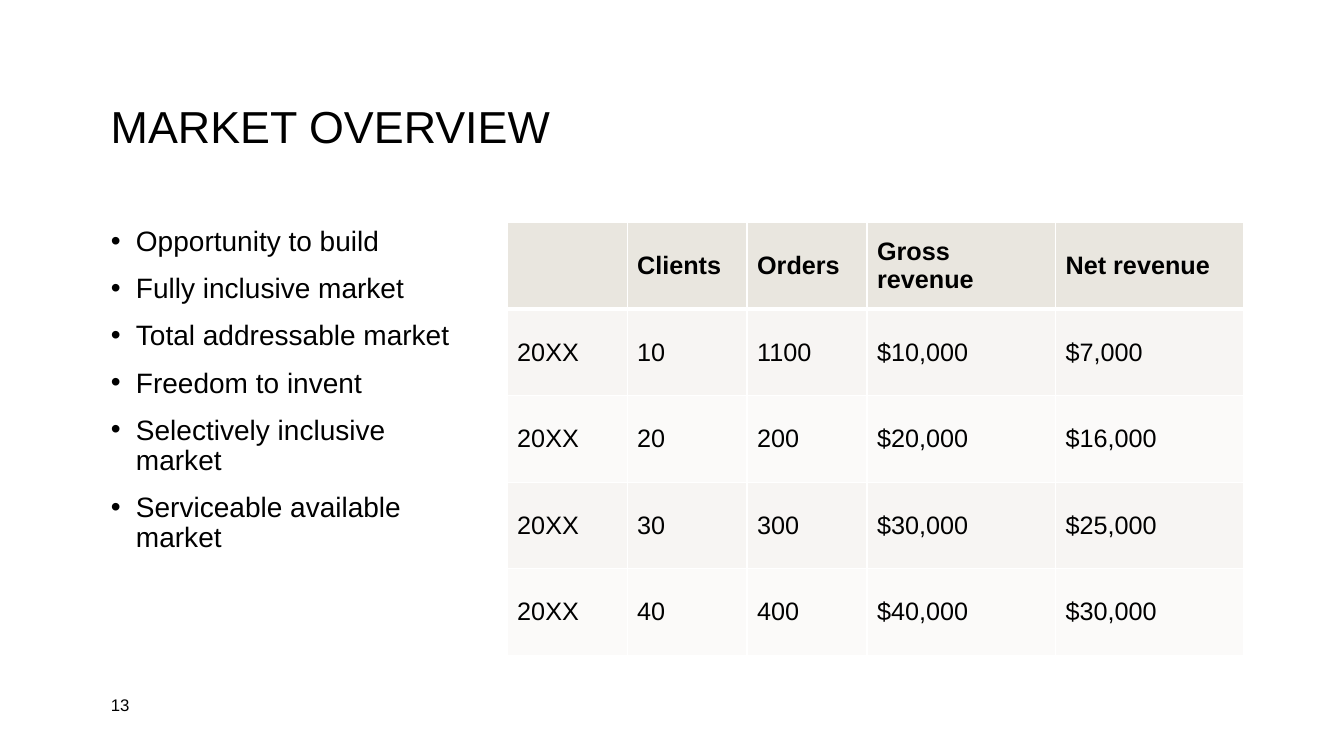
"""Build the market overview slide with bullet points and a revenue table."""
from lxml.etree import SubElement
from pptx import Presentation
from pptx.dml.color import RGBColor
from pptx.enum.text import MSO_ANCHOR
from pptx.oxml.ns import qn
from pptx.util import Inches, Pt

COLORS = {
    "text": "000000",
    "border": "FFFFFF",
    "header": "E9E6DF",
    "odd_row": "F7F5F3",
    "even_row": "FBFAF9",
}


def write_text(frame, text, size=18, bold=False, bullet=False, line_spacing=None,
               space_after=0, anchor=MSO_ANCHOR.MIDDLE):
    frame.word_wrap = True
    frame.vertical_anchor = anchor
    for index, line in enumerate(text.split("\n")):
        paragraph = frame.add_paragraph() if index else frame.paragraphs[0]
        paragraph.line_spacing = line_spacing
        paragraph.space_after = Pt(space_after)
        run = paragraph.add_run()
        run.text = line
        run.font.name = "Arial"
        run.font.size = Pt(size)
        run.font.bold = bold
        run.font.color.rgb = RGBColor.from_string(COLORS["text"])
        if bullet:
            properties = paragraph._p.get_or_add_pPr()
            properties.set("marL", str(Inches(0.25)))
            properties.set("indent", str(-Inches(0.25)))
            SubElement(properties, qn("a:buFont"), typeface="Arial")
            SubElement(properties, qn("a:buChar"), char="•")


def set_borders(cell, widths):
    properties = cell._tc.get_or_add_tcPr()
    for side, width in widths.items():
        line = SubElement(properties, qn(f"a:ln{side}"), w=str(Pt(width)))
        fill = SubElement(line, qn("a:solidFill"))
        SubElement(fill, qn("a:srgbClr"), val=COLORS["border"])


presentation = Presentation()
presentation.slide_width = Inches(13.33)
presentation.slide_height = Inches(7.5)
slide = presentation.slides.add_slide(presentation.slide_layouts[6])

title = slide.shapes.add_textbox(Inches(1), Inches(0.4), Inches(11.33), Inches(1.75))
write_text(title.text_frame, "MARKET OVERVIEW", size=32, line_spacing=0.9)

points = [
    "Opportunity to build",
    "Fully inclusive market",
    "Total addressable market",
    "Freedom to invent",
    "Selectively inclusive market",
    "Serviceable available market",
]
body = slide.shapes.add_textbox(Inches(1), Inches(2.21), Inches(3.61), Inches(4.28))
write_text(body.text_frame, "\n".join(points), size=20, bullet=True,
           line_spacing=0.9, space_after=12, anchor=MSO_ANCHOR.TOP)

rows = [
    ["", "Clients", "Orders", "Gross revenue", "Net revenue"],
    ["20XX", "10", "1100", "$10,000", "$7,000"],
    ["20XX", "20", "200", "$20,000", "$16,000"],
    ["20XX", "30", "300", "$30,000", "$25,000"],
    ["20XX", "40", "400", "$40,000", "$30,000"],
]
column_widths = [1.19, 1.19, 1.19, 1.87, 1.87]
table = slide.shapes.add_table(len(rows), len(column_widths), Inches(5.03), Inches(2.21),
                               Inches(7.3), Inches(4.29)).table
for column, width in zip(table.columns, column_widths):
    column.width = Inches(width)

for row_index, values in enumerate(rows):
    is_header = row_index == 0
    row_color = "header" if is_header else "odd_row" if row_index % 2 else "even_row"
    borders = {"L": 1, "R": 1, "T": 3 if row_index == 1 else 1, "B": 3 if is_header else 1}
    for column_index, value in enumerate(values):
        cell = table.cell(row_index, column_index)
        set_borders(cell, borders)
        cell.fill.solid()
        cell.fill.fore_color.rgb = RGBColor.from_string(COLORS[row_color])
        cell.vertical_anchor = MSO_ANCHOR.MIDDLE
        if value:
            write_text(cell.text_frame, value, bold=is_header)

number = slide.shapes.add_textbox(Inches(1), Inches(6.83), Inches(0.69), Inches(0.32))
write_text(number.text_frame, "13", size=12)

presentation.save("out.pptx")
